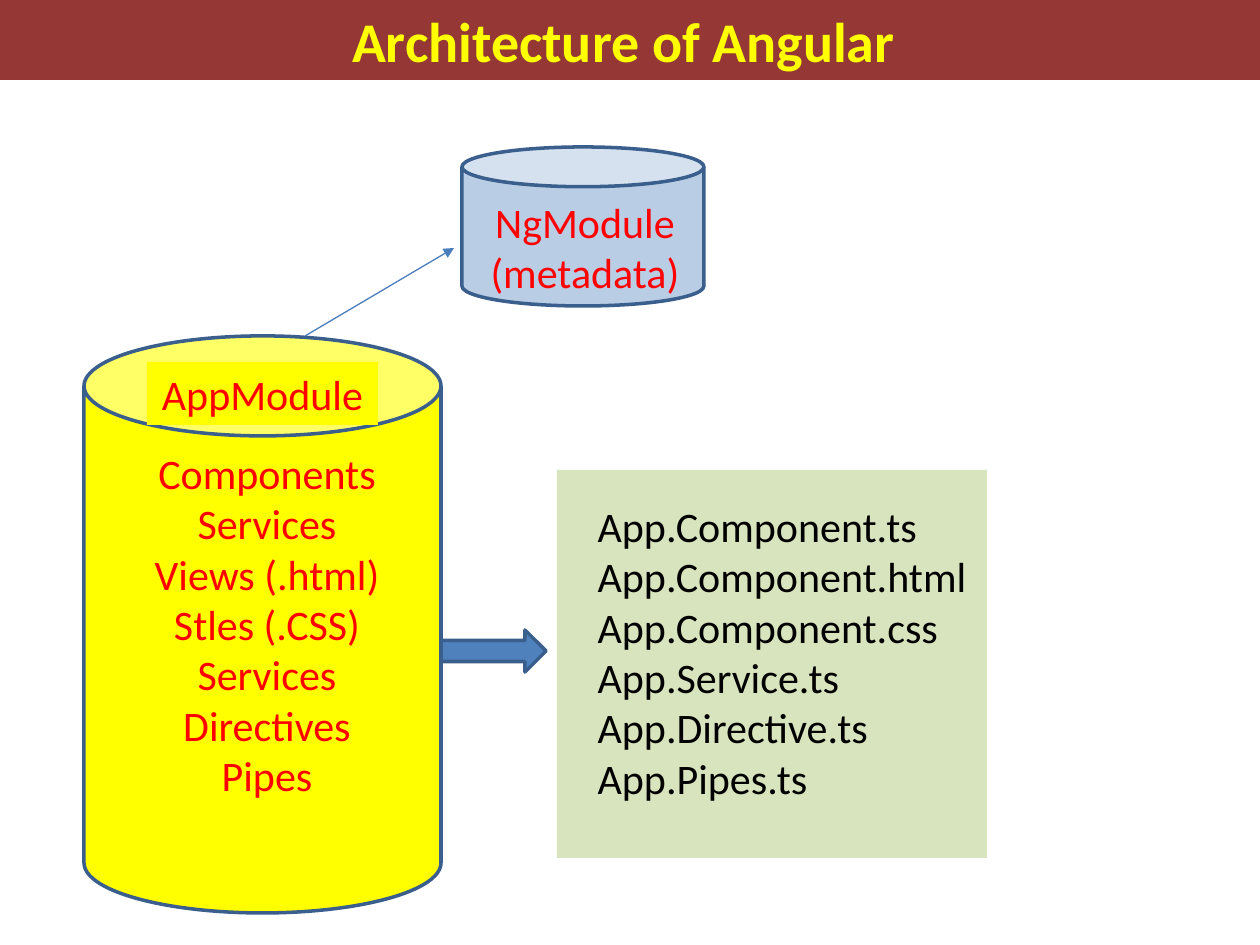
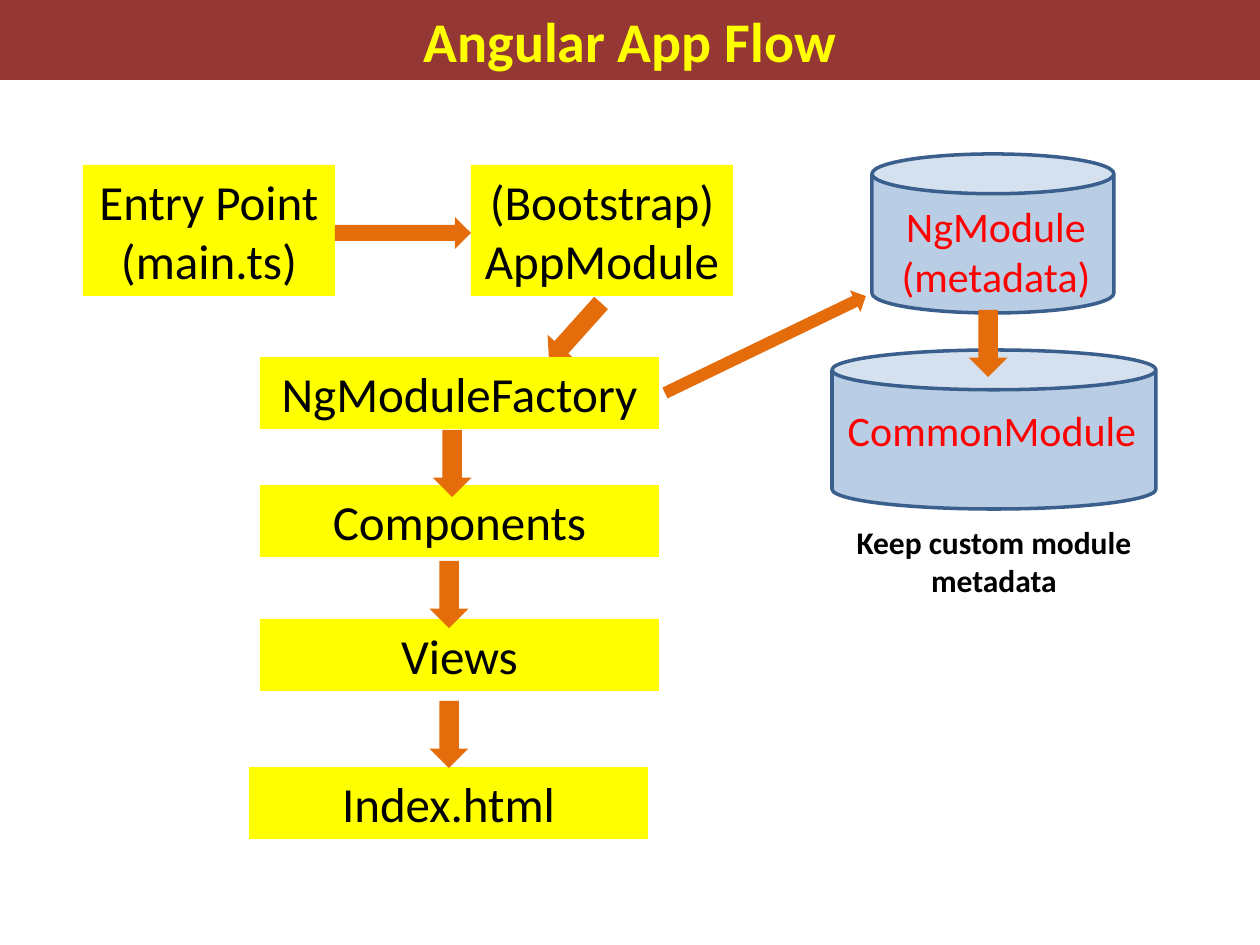
import math
from dataclasses import dataclass

from lxml import etree
from pptx import Presentation
from pptx.dml.color import RGBColor
from pptx.enum.shapes import MSO_CONNECTOR, MSO_SHAPE
from pptx.enum.text import MSO_ANCHOR, MSO_AUTO_SIZE, PP_ALIGN
from pptx.oxml.ns import qn
from pptx.util import Emu, Pt

RECTANGLE = MSO_SHAPE.RECTANGLE
CAN = MSO_SHAPE.CAN
RIGHT_ARROW = MSO_SHAPE.RIGHT_ARROW
STRAIGHT = MSO_CONNECTOR.STRAIGHT
LEFT, CENTER = PP_ALIGN.LEFT, PP_ALIGN.CENTER
TOP = MSO_ANCHOR.TOP
NO_AUTOFIT = MSO_AUTO_SIZE.NONE

PX_PER_INCH = 126
EMU_PER_PX = 914400 / PX_PER_INCH
SLIDE_WIDTH, SLIDE_HEIGHT = 1260, 945
TITLE_HEIGHT = 80
TWO_CONTENT_LAYOUT, TITLE_ONLY_LAYOUT = 3, 5


@dataclass(frozen=True)
class Theme:
    font: str = "Calibri"
    band: str = "953735"
    yellow: str = "FFFF00"
    red: str = "FF0000"
    black: str = "000000"
    pale_blue: str = "B9CDE5"
    pale_green: str = "D7E4BD"
    blue: str = "4F81BD"
    outline: str = "3A5F8C"
    link: str = "4B7EBC"
    orange: str = "E46C0A"
    title_size: int = 32
    step_size: int = 28
    module_size: int = 24
    caption_size: int = 18


THEME = Theme()


def px(length):
    return Emu(round(length * EMU_PER_PX))


def rgb(color):
    return RGBColor.from_string(color)


def place(shape, box):
    shape.left, shape.top, shape.width, shape.height = map(px, box)


def fill_with(shape, color):
    shape.fill.solid()
    shape.fill.fore_color.rgb = rgb(color)


def write(shape, lines, size, color, bold=False, align=CENTER):
    frame = shape.text_frame
    frame.word_wrap = True
    frame.auto_size = NO_AUTOFIT
    frame.vertical_anchor = TOP
    for index, line in enumerate(lines):
        paragraph = frame.paragraphs[0] if index == 0 else frame.add_paragraph()
        paragraph.alignment = align
        run = paragraph.add_run()
        run.text = line
        run.font.name = THEME.font
        run.font.size = Pt(size)
        run.font.bold = bold
        run.font.color.rgb = rgb(color)


def add_title(slide, text):
    title = slide.shapes.title
    place(title, (0, 0, SLIDE_WIDTH, TITLE_HEIGHT))
    fill_with(title, THEME.band)
    write(title, [text], THEME.title_size, THEME.yellow, bold=True)


def add_filled(slide, kind, box, color, outline=None):
    shape = slide.shapes.add_shape(kind, *map(px, box))
    shape.shadow.inherit = False
    fill_with(shape, color)
    if outline:
        shape.line.color.rgb = rgb(outline)
        shape.line.width = Pt(2)
    else:
        shape.line.fill.background()
    return shape


def add_can(slide, box, color):
    return add_filled(slide, CAN, box, color, THEME.outline)


def add_label(slide, box, lines, size, color, bold=False):
    label = slide.shapes.add_textbox(*map(px, box))
    write(label, lines, size, color, bold)


def add_box(slide, box, lines, size, color):
    write(add_filled(slide, RECTANGLE, box, THEME.yellow), lines, size, color)


def add_step(slide, box, *lines):
    add_box(slide, box, lines, THEME.step_size, THEME.black)


def add_list(slide, index, backdrop, box, lines, color, align):
    body = slide.placeholders[index]
    place(body, box)
    write(body, lines, THEME.module_size, color, align=align)
    for paragraph in body.text_frame.paragraphs:
        paragraph.space_before = Pt(0)
        properties = paragraph._p.get_or_add_pPr()
        properties.set("marL", "0")
        properties.set("indent", "0")
        etree.SubElement(properties, qn("a:buNone"))
    backdrop.element.addnext(body.element)
    return body


def add_metadata_can(slide, left, top, label_left, label_top):
    add_can(slide, (left, top, 242, 159), THEME.pale_blue)
    add_label(slide, (label_left, label_top, 220, 115), ["NgModule", "(metadata)"],
              THEME.module_size, THEME.red)


def add_block_arrow(slide, start, end, thickness, color=THEME.orange, outline=None):
    dx, dy = end[0] - start[0], end[1] - start[1]
    length = math.hypot(dx, dy)
    left = (start[0] + end[0] - length) / 2
    top = (start[1] + end[1] - thickness) / 2
    arrow = add_filled(slide, RIGHT_ARROW, (left, top, length, thickness), color, outline)
    arrow.rotation = math.degrees(math.atan2(dy, dx))


def add_link(slide, start, end):
    link = slide.shapes.add_connector(STRAIGHT, *map(px, start + end))
    link.line.color.rgb = rgb(THEME.link)
    link.line.width = Pt(0.75)
    properties = link.element.spPr
    etree.SubElement(properties.find(qn("a:ln")), qn("a:tailEnd"), type="triangle")
    etree.SubElement(properties, qn("a:effectLst"))


def build_architecture(deck):
    slide = deck.slides.add_slide(deck.slide_layouts[TWO_CONTENT_LAYOUT])
    add_title(slide, "Architecture of Angular ")
    add_metadata_can(slide, 462, 147, 475, 190)

    app_module = add_can(slide, (84, 336, 357, 577), THEME.yellow)
    app_module.adjustments[0] = 0.28
    parts = add_list(slide, 1, app_module, (136, 441, 262, 420),
                     ["Components", "Services", "Views (.html)", "Stles (.CSS)",
                      "Services", "Directives", "Pipes"], THEME.red, CENTER)
    fill_with(parts, THEME.yellow)
    add_box(slide, (147, 362, 231, 63), ["AppModule"], THEME.module_size, THEME.red)
    add_link(slide, (305, 336), (454, 248))

    files_panel = add_filled(slide, RECTANGLE, (557, 470, 430, 388), THEME.pale_green)
    add_list(slide, 2, files_panel, (585, 494, 518, 318),
             ["App.Component.ts", "App.Component.html", "App.Component.css",
              "App.Service.ts", "App.Directive.ts", "App.Pipes.ts"], THEME.black, LEFT)
    add_block_arrow(slide, (441, 651), (546, 651), 42, THEME.blue, THEME.outline)


def build_app_flow(deck):
    slide = deck.slides.add_slide(deck.slide_layouts[TITLE_ONLY_LAYOUT])
    add_title(slide, "Angular App Flow")
    add_can(slide, (832, 350, 324, 159), THEME.pale_blue)
    add_label(slide, (830, 398, 324, 63), ["CommonModule"], THEME.module_size, THEME.red)
    add_label(slide, (810, 517, 368, 89), ["Keep custom module metadata"],
              THEME.caption_size, THEME.black, bold=True)
    add_metadata_can(slide, 872, 154, 886, 194)

    add_step(slide, (83, 165, 252, 131), "Entry Point", "(main.ts)")
    add_step(slide, (471, 165, 262, 131), "(Bootstrap)", "AppModule")
    add_block_arrow(slide, (335, 233), (471, 233), 32)
    add_block_arrow(slide, (601, 303), (549, 361), 37)
    for name, left, top in (("NgModuleFactory", 260, 357), ("Components", 260, 485),
                            ("Views", 260, 619), ("Index.html", 249, 767)):
        add_step(slide, (left, top, 399, 72), name)
    add_block_arrow(slide, (665, 393), (866, 296), 24)
    for x, top in ((452, 430), (449, 561), (449, 701), (988, 310)):
        add_block_arrow(slide, (x, top), (x, top + 67), 39)


def main():
    deck = Presentation()
    deck.slide_width, deck.slide_height = px(SLIDE_WIDTH), px(SLIDE_HEIGHT)
    build_architecture(deck)
    build_app_flow(deck)
    deck.save("out.pptx")


if __name__ == "__main__":
    main()
